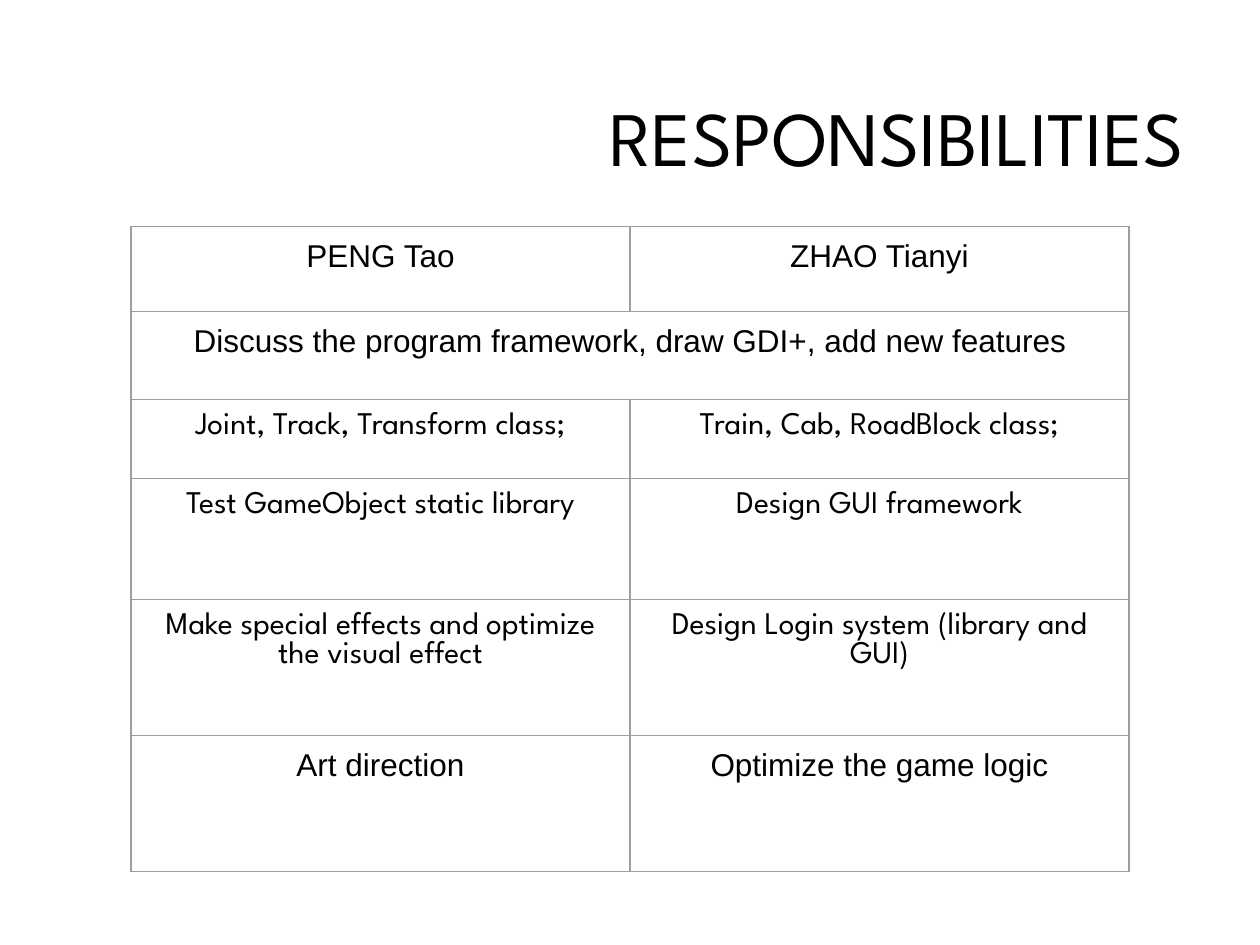
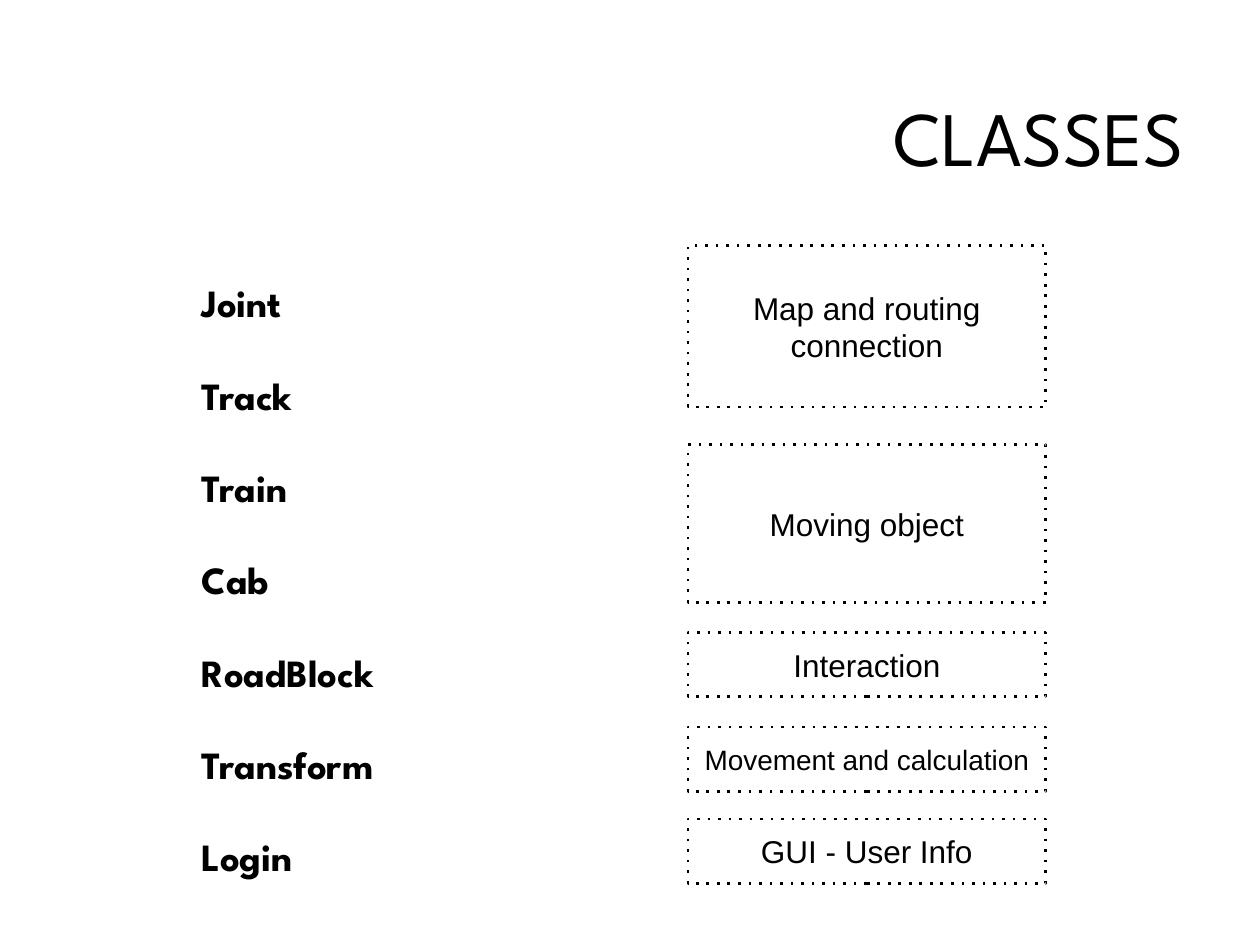
"""Build two slides: a table of responsibilities and an overview of classes."""
from dataclasses import dataclass

from lxml.etree import SubElement
from pptx import Presentation
from pptx.dml.color import RGBColor
from pptx.enum.shapes import MSO_SHAPE
from pptx.enum.text import MSO_ANCHOR, PP_ALIGN
from pptx.oxml.ns import qn
from pptx.util import Inches, Pt


@dataclass(frozen=True)
class Theme:
    ink: RGBColor = RGBColor(0, 0, 0)
    grid: str = "9E9E9E"
    head_font: str = "League Spartan"
    body_font: str = "Arial"
    title: int = 44
    class_name: int = 22
    body: int = 18
    small: int = 16
    pad: float = 0.1


T = Theme()


def format_text(tf, font, size, align, spacing=None, bold=False):
    tf.word_wrap = True
    tf.margin_left = tf.margin_right = Inches(T.pad)
    tf.margin_top = tf.margin_bottom = Inches(T.pad)
    for p in tf.paragraphs:
        p.alignment = align
        p.line_spacing = spacing
        for r in p.runs:
            r.font.name = font
            r.font.size = Pt(size)
            r.font.bold = bold
            r.font.color.rgb = T.ink


def add_titled_slide(prs, title):
    s = prs.slides.add_slide(prs.slide_layouts[6])
    tf = s.shapes.add_textbox(Inches(0.5), Inches(0.3), Inches(9), Inches(1.25)).text_frame
    tf.text = title
    tf.vertical_anchor = MSO_ANCHOR.BOTTOM
    format_text(tf, T.head_font, T.title, PP_ALIGN.RIGHT, 0.9)
    return s


prs = Presentation()
prs.slide_width = Inches(10)
prs.slide_height = Inches(7.5)

s = add_titled_slide(prs, "RESPONSIBILITIES")
rows = [
    (0.67, T.body_font, ["PENG Tao", "ZHAO Tianyi"]),
    (0.7, T.body_font, ["Discuss the program framework, draw GDI+, add new features"]),
    (0.63, T.head_font, ["Joint, Track, Transform class;", "Train, Cab, RoadBlock class;"]),
    (0.96, T.head_font, ["Test GameObject static library", "Design GUI framework"]),
    (1.08, T.head_font, ["Make special effects and optimize the visual effect",
                         "Design Login system (library and GUI)"]),
    (1.08, T.body_font, ["Art direction", "Optimize the game logic"]),
]
height = sum(row[0] for row in rows)
tbl = s.shapes.add_table(len(rows), 2, Inches(1.04), Inches(1.8),
                         Inches(7.92), Inches(height)).table
tbl.first_row = tbl.horz_banding = False
for i, (row_height, font, texts) in enumerate(rows):
    tbl.rows[i].height = Inches(row_height)
    if len(texts) == 1:
        tbl.cell(i, 0).merge(tbl.cell(i, 1))
    for j, text in enumerate(texts):
        tbl.cell(i, j).text = text
        format_text(tbl.cell(i, j).text_frame, font, T.body, PP_ALIGN.CENTER)
for cell in tbl.iter_cells():
    cell.margin_left = cell.margin_right = Inches(T.pad)
    cell.margin_top = cell.margin_bottom = Inches(T.pad)
    tcPr = cell._tc.get_or_add_tcPr()
    for side in "LRTB":
        ln = SubElement(tcPr, qn(f"a:ln{side}"), w=str(Pt(0.75)))
        SubElement(SubElement(ln, qn("a:solidFill")), qn("a:srgbClr"), val=T.grid)
    cell.fill.background()

s = add_titled_slide(prs, "CLASSES")
names = ["Joint", "Track", "Train", "Cab", "RoadBlock", "Transform", "Login"]
tf = s.shapes.add_textbox(Inches(0.5), Inches(1.75), Inches(9), Inches(5.43)).text_frame
tf.text = "\n".join(names)
format_text(tf, T.head_font, T.class_name, PP_ALIGN.LEFT, 2.0, True)
for p in tf.paragraphs:
    p._p.get_or_add_pPr().set("marL", str(Inches(1)))

roles = [
    (1.95, 1.28, T.body, "Map and routing connection"),
    (3.53, 1.25, T.body, "Moving object"),
    (5.02, 0.51, T.body, "Interaction"),
    (5.77, 0.51, T.small, "Movement and calculation"),
    (6.5, 0.51, T.body, "GUI - User Info"),
]
for top, height, size, text in roles:
    sp = s.shapes.add_shape(MSO_SHAPE.RECTANGLE, Inches(5.46), Inches(top),
                            Inches(2.84), Inches(height))
    sp.shadow.inherit = False
    sp.fill.background()
    sp.line.color.rgb = T.ink
    sp.line.width = Pt(1.5)
    SubElement(sp._element.spPr.find(qn("a:ln")), qn("a:prstDash"), val="dot")
    sp.text_frame.text = text
    sp.text_frame.vertical_anchor = MSO_ANCHOR.MIDDLE
    format_text(sp.text_frame, T.body_font, size, PP_ALIGN.CENTER)

prs.save("out.pptx")
